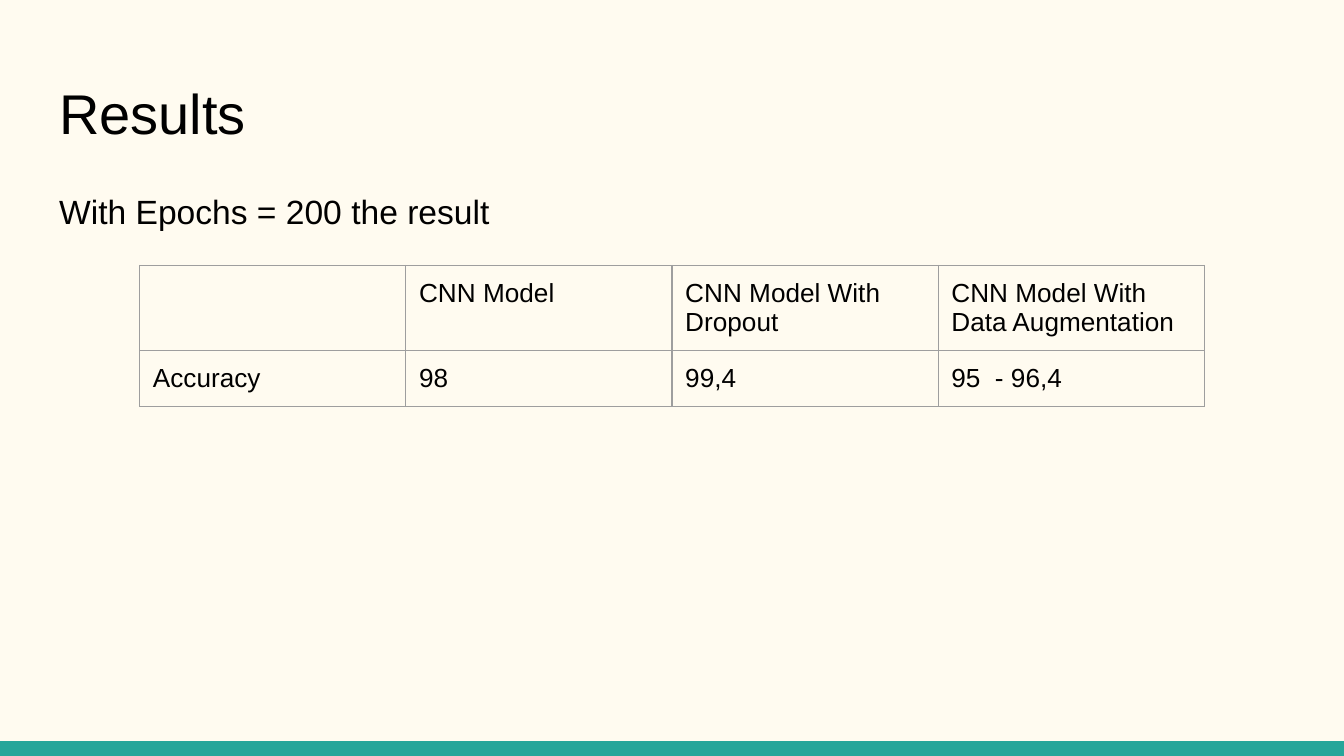
from dataclasses import dataclass

from lxml import etree
from pptx import Presentation
from pptx.dml.color import RGBColor as Rgb
from pptx.enum import shapes, text
from pptx.oxml import ns
from pptx.util import Cm, Pt


@dataclass(frozen=True)
class Theme:
    font: str = "Arial"
    ink: str = "000000"
    paper: str = "FFFBF0"
    teal: str = "26A69A"
    rule: str = "9E9E9E"
    head: int = 30
    body: int = 18
    cell: int = 14


THEME = Theme()
PAD = Cm(0.25)
INSETS = {f"margin_{side}": PAD for side in ("left", "top", "right", "bottom")}
FRAME = {
    **INSETS,
    "word_wrap": True,
    "auto_size": text.MSO_AUTO_SIZE.NONE,
    "vertical_anchor": text.MSO_ANCHOR.TOP,
}
ROWS = [
    ["", "CNN Model", "CNN Model With Dropout", "CNN Model With Data Augmentation"],
    ["Accuracy", "98", "99,4", "95  - 96,4"],
]


def apply(item, form):
    for name, value in form.items():
        setattr(item, name, value)


def place(shape, left, top, width, height):
    apply(shape, {"left": Cm(left), "top": Cm(top),
                  "width": Cm(width), "height": Cm(height)})


def write(frame, words, size, **form):
    para = frame.paragraphs[0]
    apply(para, {"alignment": text.PP_ALIGN.LEFT, **form})
    run = para.add_run()
    run.text = words
    apply(run.font, {"name": THEME.font, "size": Pt(size)})
    run.font.color.rgb = Rgb.from_string(THEME.ink)


def add_bar(slide):
    bar = slide.shapes.add_shape(
        shapes.MSO_SHAPE.RECTANGLE, 0, Cm(14.01), Cm(25.4), Cm(0.28))
    bar.shadow.inherit = False
    bar.fill.solid()
    bar.fill.fore_color.rgb = Rgb.from_string(THEME.teal)
    bar.line.fill.background()


def add_title(slide, words):
    title = slide.shapes.title
    place(title, 0.87, 1.24, 23.67, 1.7)
    apply(title.text_frame, FRAME)
    write(title.text_frame, words, THEME.head)


def add_body(slide, words):
    box = slide.shapes.add_textbox(0, 0, 0, 0)
    place(box, 0.87, 3.25, 23.67, 9.45)
    apply(box.text_frame, FRAME)
    write(box.text_frame, words, THEME.body,
          line_spacing=1.15, space_after=Pt(16))


def edge(cell):
    props = cell._tc.get_or_add_tcPr()
    for side in ("lnL", "lnR", "lnT", "lnB"):
        line = etree.SubElement(props, ns.qn(f"a:{side}"), w=str(Pt(0.75)))
        fill = etree.SubElement(line, ns.qn("a:solidFill"))
        etree.SubElement(fill, ns.qn("a:srgbClr"), val=THEME.rule)


def add_grid(slide, rows):
    wide, high = Cm(5.03), Cm(1.06)
    count = len(rows[0])
    table = slide.shapes.add_table(
        len(rows), count, Cm(2.64), Cm(5.02), wide * count, high * len(rows)).table
    apply(table, {"first_row": False, "horz_banding": False})
    for col in table.columns:
        col.width = wide
    for r, row in enumerate(rows):
        table.rows[r].height = high
        for c, words in enumerate(row):
            cell = table.cell(r, c)
            apply(cell, INSETS)
            edge(cell)
            cell.fill.background()
            if words:
                write(cell.text_frame, words, THEME.cell)


def main():
    deck = Presentation()
    apply(deck, {"slide_width": Cm(25.4), "slide_height": Cm(14.29)})
    slide = deck.slides.add_slide(deck.slide_layouts[5])
    slide.background.fill.solid()
    slide.background.fill.fore_color.rgb = Rgb.from_string(THEME.paper)
    add_bar(slide)
    add_title(slide, "Results")
    add_body(slide, "With Epochs = 200 the result")
    add_grid(slide, ROWS)
    deck.save("out.pptx")


if __name__ == "__main__":
    main()
